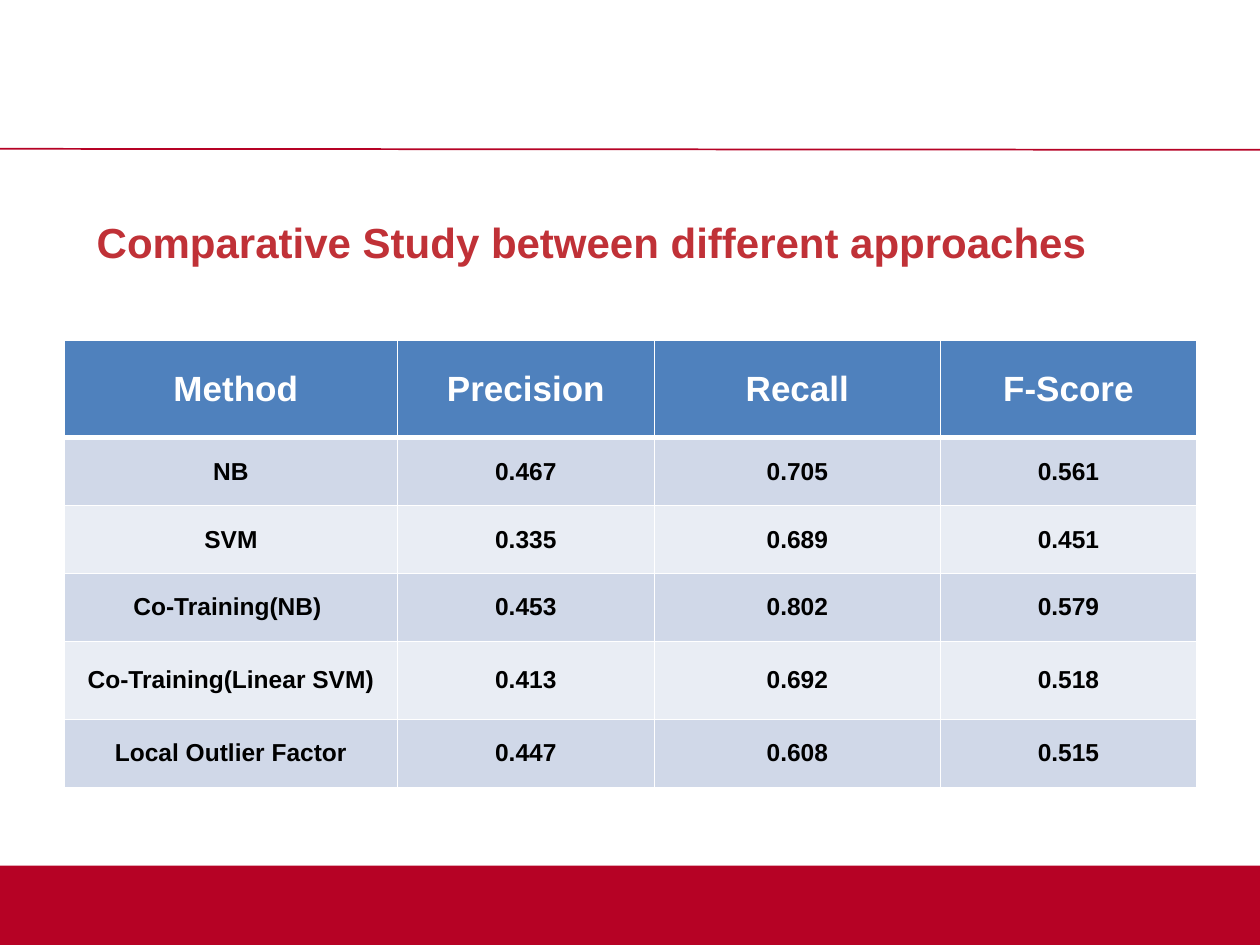
from lxml.etree import SubElement
from pptx import Presentation
from pptx.dml.color import RGBColor
from pptx.enum.shapes import MSO_CONNECTOR, MSO_SHAPE
from pptx.enum.text import MSO_ANCHOR, PP_ALIGN
from pptx.oxml.ns import qn
from pptx.util import Cm, Pt

HUES = {"band": "B60225", "title": "C03137", "head": "4F81BD", "odd": "D0D8E8",
        "even": "E9EDF4", "white": "FFFFFF", "ink": "000000"}
ROWS = [
    (" Method", "Precision", "Recall", "F-Score"),
    ("NB", "0.467", "0.705", "0.561"),
    ("SVM", "0.335", "0.689", "0.451"),
    ("Co-Training(NB) ", "0.453", "0.802", "0.579"),
    ("Co-Training(Linear SVM)", "0.413", "0.692", "0.518"),
    ("Local Outlier Factor", "0.447", "0.608", "0.515"),
]
WIDTHS = [6.71, 5.18, 5.77, 5.16]
HEIGHTS = [1.96, 1.37, 1.37, 1.37, 1.57, 1.37]


def hue(name):
    return RGBColor.from_string(HUES[name])


def write(frame, text, size=14, color="ink", bold=True, align=PP_ALIGN.LEFT, face="Arial"):
    para = frame.paragraphs[0]
    para.alignment = align
    run = para.add_run()
    run.text = text
    font = run.font
    font.name, font.size, font.bold = face, Pt(size), bold
    font.color.rgb = hue(color)


class Deck:
    """Hold the style and the current slide, and draw each kind of element."""

    def __init__(self, wide, high):
        self.show = Presentation()
        self.show.slide_width, self.show.slide_height = Cm(wide), Cm(high)
        self.slide = self.show.slides.add_slide(self.show.slide_layouts[6])
        self.shapes = self.slide.shapes

    def band(self, x, y, w, h, color):
        shape = self.shapes.add_shape(MSO_SHAPE.RECTANGLE, Cm(x), Cm(y), Cm(w), Cm(h))
        shape.shadow.inherit = False
        shape.fill.solid()
        shape.fill.fore_color.rgb = hue(color)
        shape.line.fill.background()

    def rule(self, x, y, end, drop, color):
        line = self.shapes.add_connector(MSO_CONNECTOR.STRAIGHT, Cm(x), Cm(y), Cm(end), Cm(drop))
        line.line.width = Pt(1)
        line.line.color.rgb = hue(color)
        SubElement(line._element.spPr, qn("a:effectLst"))

    def label(self, x, y, w, h, text, **style):
        frame = self.shapes.add_textbox(Cm(x), Cm(y), Cm(w), Cm(h)).text_frame
        frame.word_wrap = True
        write(frame, text, **style)

    def edge(self, cell, base):
        props = cell._tc.get_or_add_tcPr()
        for side, width in {"L": 1, "R": 1, "T": 1, "B": base}.items():
            line = SubElement(props, qn(f"a:ln{side}"), w=str(Pt(width)))
            fill = SubElement(line, qn("a:solidFill"))
            SubElement(fill, qn("a:srgbClr"), val=HUES["white"])

    def cell(self, cell, text, row):
        self.edge(cell, 1 if row else 3)
        cell.fill.solid()
        cell.fill.fore_color.rgb = hue(("odd" if row % 2 else "even") if row else "head")
        cell.vertical_anchor = MSO_ANCHOR.MIDDLE
        cell.margin_left = cell.margin_right = Cm(0.18)
        cell.margin_top = cell.margin_bottom = 0
        write(cell.text_frame, text, size=14 if row else 20,
              color="ink" if row else "white", align=PP_ALIGN.CENTER)

    def table(self, x, y, rows, widths, heights):
        grid = self.shapes.add_table(len(rows), len(widths), Cm(x), Cm(y),
                                     Cm(sum(widths)), Cm(sum(heights))).table
        for col, width in zip(grid.columns, widths):
            col.width = Cm(width)
        for row, height in zip(grid.rows, heights):
            row.height = Cm(height)
        for i, row in enumerate(rows):
            for j, text in enumerate(row):
                self.cell(grid.cell(i, j), text, i)


def main():
    deck = Deck(25.4, 19.05)
    deck.band(0, 17.45, 25.4, 1.6, "band")
    deck.rule(0, 3, 25.4, 3.02, "band")
    deck.label(1.7, 4.24, 22.43, 1.27, "Comparative Study between different approaches",
               size=24, color="title")
    deck.table(1.3, 6.86, ROWS, WIDTHS, HEIGHTS)
    deck.show.save("out.pptx")


if __name__ == "__main__":
    main()
